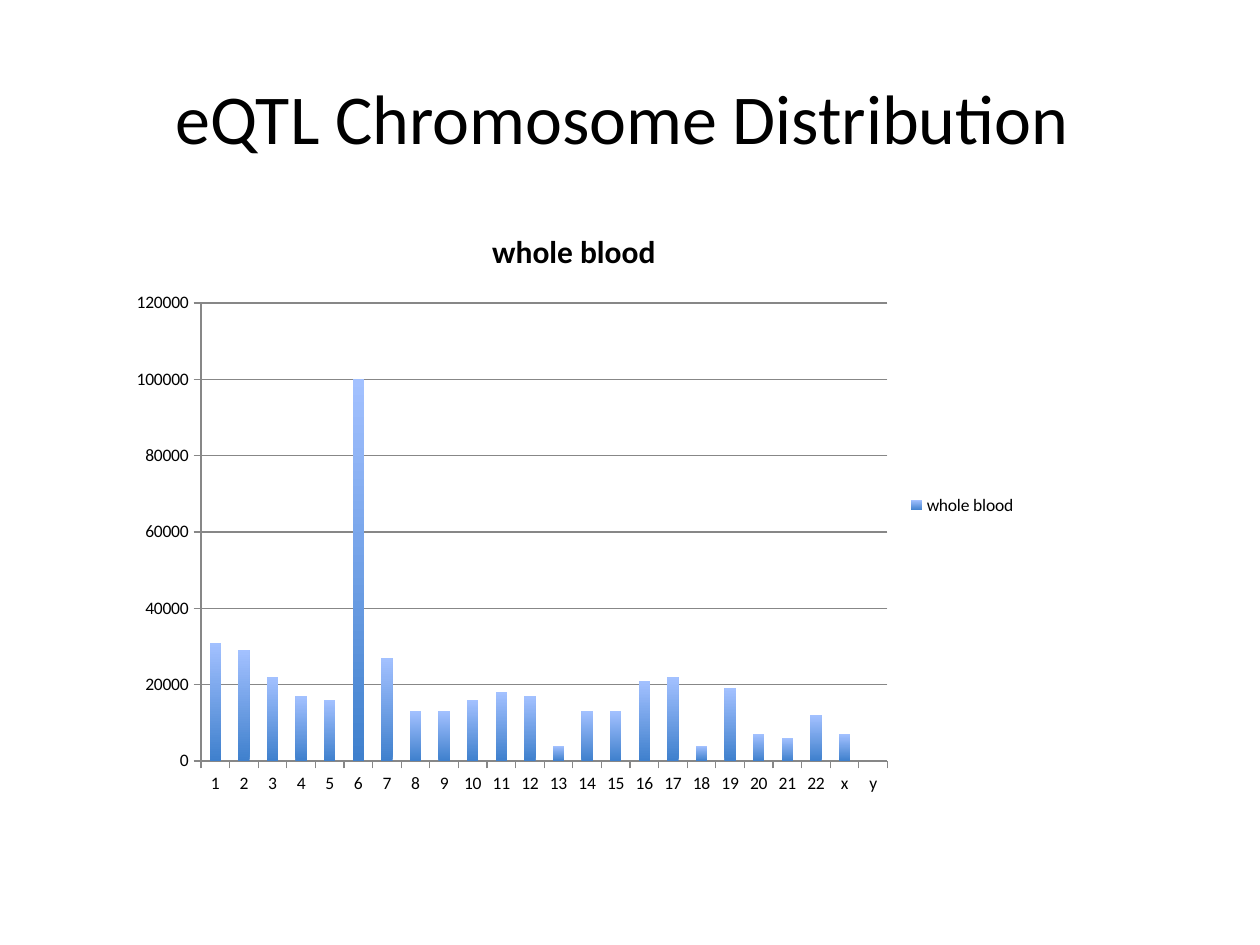
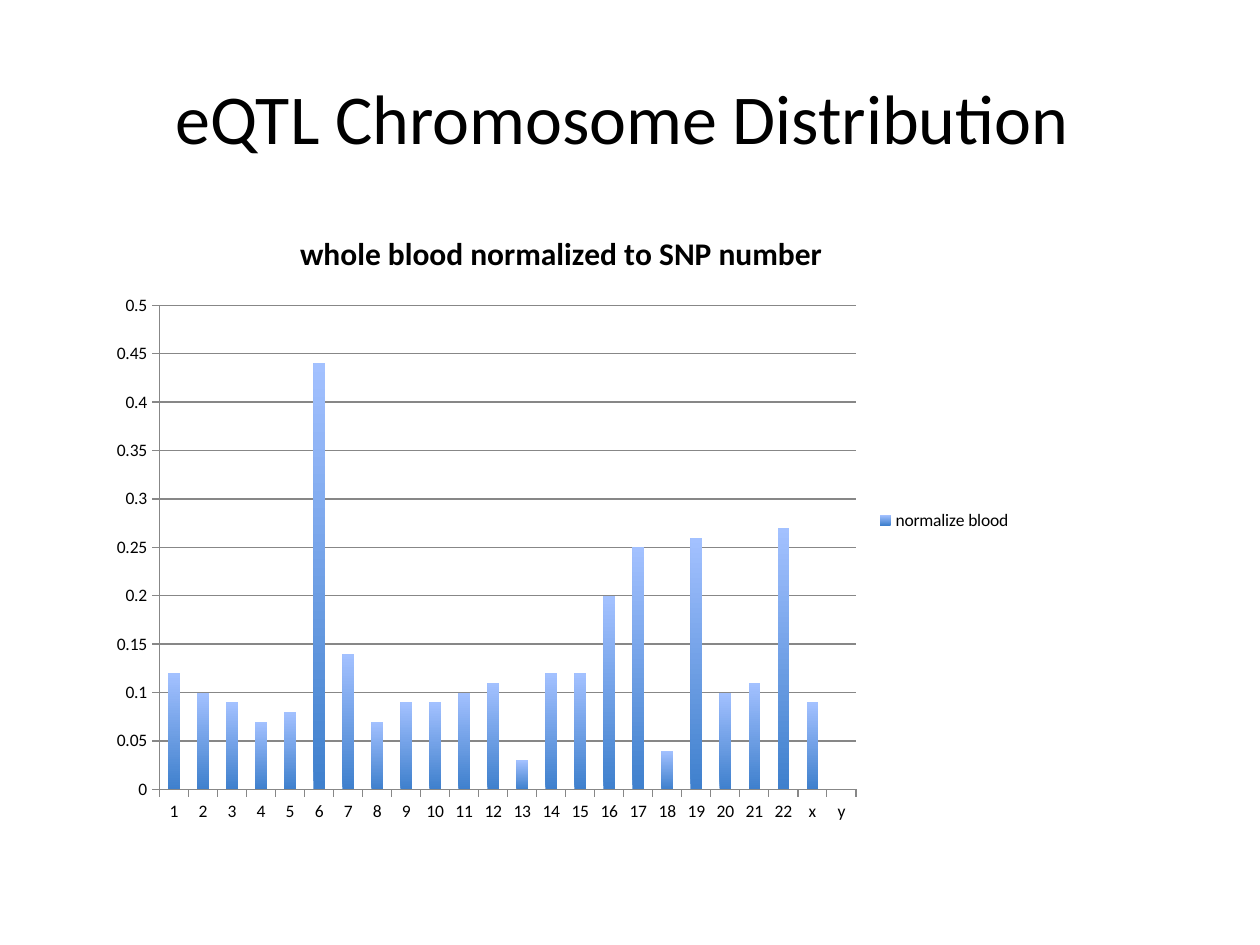
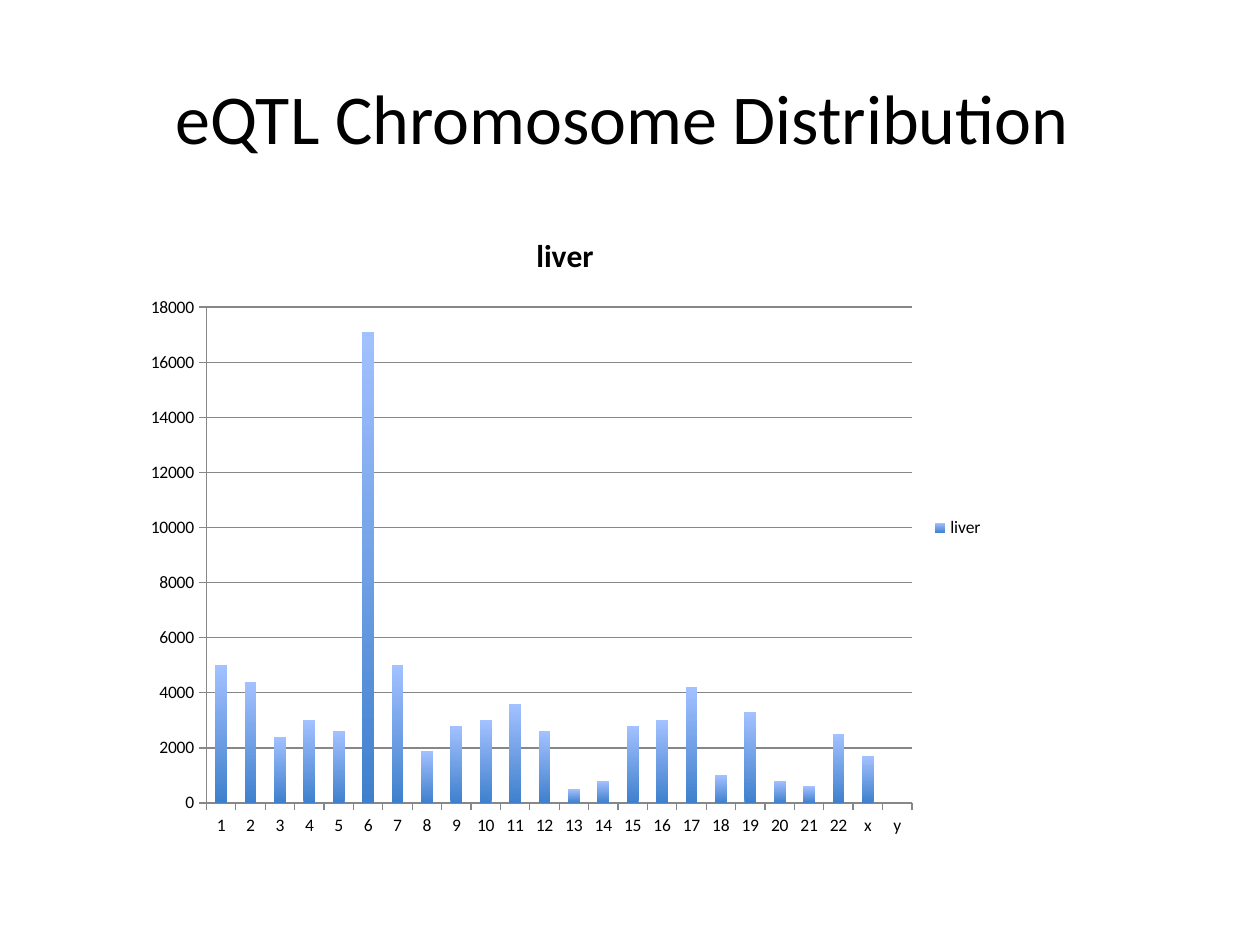
import pptx
import pptx.util
import pptx.chart.data
from pptx.dml.color import RGBColor
from pptx.enum.chart import XL_CHART_TYPE, XL_LEGEND_POSITION, XL_TICK_MARK
from pptx.enum.text import MSO_ANCHOR, PP_ALIGN

Inches = pptx.util.Inches
Pt = pptx.util.Pt

TITLE = "eQTL Chromosome Distribution "
CHROMOSOMES = [str(n) for n in range(1, 23)] + ["x", "y"]
CHARTS = [
    {
        "title": "whole blood", "series": "whole blood",
        "type": XL_CHART_TYPE.COLUMN_STACKED, "overlap": 100,
        "at": (0.94, 1.63, 7.23, 4.76), "max": 120000, "step": 20000,
        "values": [31000, 29000, 22000, 17000, 16000, 100000, 27000, 13000,
                   13000, 16000, 18000, 17000, 4000, 13000, 13000, 21000,
                   22000, 4000, 19000, 7000, 6000, 12000, 7000, 0],
    },
    {
        "title": "whole blood normalized to SNP number", "series": "normalize blood",
        "type": XL_CHART_TYPE.COLUMN_CLUSTERED, "overlap": 0,
        "at": (0.78, 1.64, 7.35, 4.98), "max": 0.5, "step": 0.05,
        "values": [0.12, 0.1, 0.09, 0.07, 0.08, 0.44, 0.14, 0.07,
                   0.09, 0.09, 0.1, 0.11, 0.03, 0.12, 0.12, 0.2,
                   0.25, 0.04, 0.26, 0.1, 0.11, 0.27, 0.09, 0],
    },
    {
        "title": "liver", "series": "liver",
        "type": XL_CHART_TYPE.COLUMN_CLUSTERED, "overlap": 0,
        "at": (1.06, 1.65, 6.85, 5.08), "max": 18000, "step": 2000,
        "values": [5000, 4400, 2400, 3000, 2600, 17100, 5000, 1900,
                   2800, 3000, 3600, 2600, 500, 800, 2800, 3000,
                   4200, 1000, 3300, 800, 600, 2500, 1700, None],
    },
]

COLORS = {"text": "000000", "axis": "878787", "bar_bottom": "3F80CD", "bar_top": "A3C1FF"}
TITLE_FONT = {"name": "Calibri", "size": Pt(40), "bold": False}
CHART_FONT = {"name": "Calibri", "size": Pt(10), "bold": False}
CHART_TITLE_FONT = {"name": "Calibri", "size": Pt(18), "bold": True}


def rgb(name):
    return RGBColor.from_string(COLORS[name])


def apply(obj, values):
    for name, value in values.items():
        setattr(obj, name, value)


def set_font(font, values):
    apply(font, values)
    font.color.rgb = rgb("text")


def set_line(line):
    line.color.rgb = rgb("axis")
    line.width = Pt(0.75)


def add_title(slide):
    tf = slide.shapes.add_textbox(*map(Inches, (0.5, 0.3, 9, 1.25))).text_frame
    apply(tf, {"word_wrap": True, "vertical_anchor": MSO_ANCHOR.MIDDLE})
    p = tf.paragraphs[0]
    p.alignment = PP_ALIGN.CENTER
    r = p.add_run()
    r.text = TITLE
    set_font(r.font, TITLE_FONT)


def add_column_chart(slide, item):
    data = pptx.chart.data.CategoryChartData()
    data.categories = CHROMOSOMES
    data.add_series(item["series"], item["values"])
    chart = slide.shapes.add_chart(item["type"], *map(Inches, item["at"]), data).chart
    set_font(chart.font, CHART_FONT)

    chart.has_title = True
    r = chart.chart_title.text_frame.paragraphs[0].add_run()
    r.text = item["title"]
    set_font(r.font, CHART_TITLE_FONT)

    chart.has_legend = True
    apply(chart.legend, {"position": XL_LEGEND_POSITION.RIGHT, "include_in_layout": False})

    for axis in (chart.category_axis, chart.value_axis):
        axis.major_tick_mark = XL_TICK_MARK.OUTSIDE
        set_line(axis.format.line)
    apply(chart.value_axis, {"minimum_scale": 0, "maximum_scale": item["max"],
                             "major_unit": item["step"], "has_major_gridlines": True})
    set_line(chart.value_axis.major_gridlines.format.line)

    plot = chart.plots[0]
    apply(plot, {"gap_width": 150, "overlap": item["overlap"], "vary_by_categories": False})
    fill = plot.series[0].format.fill
    fill.gradient()
    fill.gradient_angle = 90
    for stop, name in zip(fill.gradient_stops, ("bar_bottom", "bar_top")):
        stop.color.rgb = rgb(name)


def main():
    prs = pptx.Presentation()
    apply(prs, {"slide_width": Inches(10), "slide_height": Inches(7.5)})
    for item in CHARTS:
        slide = prs.slides.add_slide(prs.slide_layouts[6])
        add_title(slide)
        add_column_chart(slide, item)
    prs.save("out.pptx")


if __name__ == "__main__":
    main()
